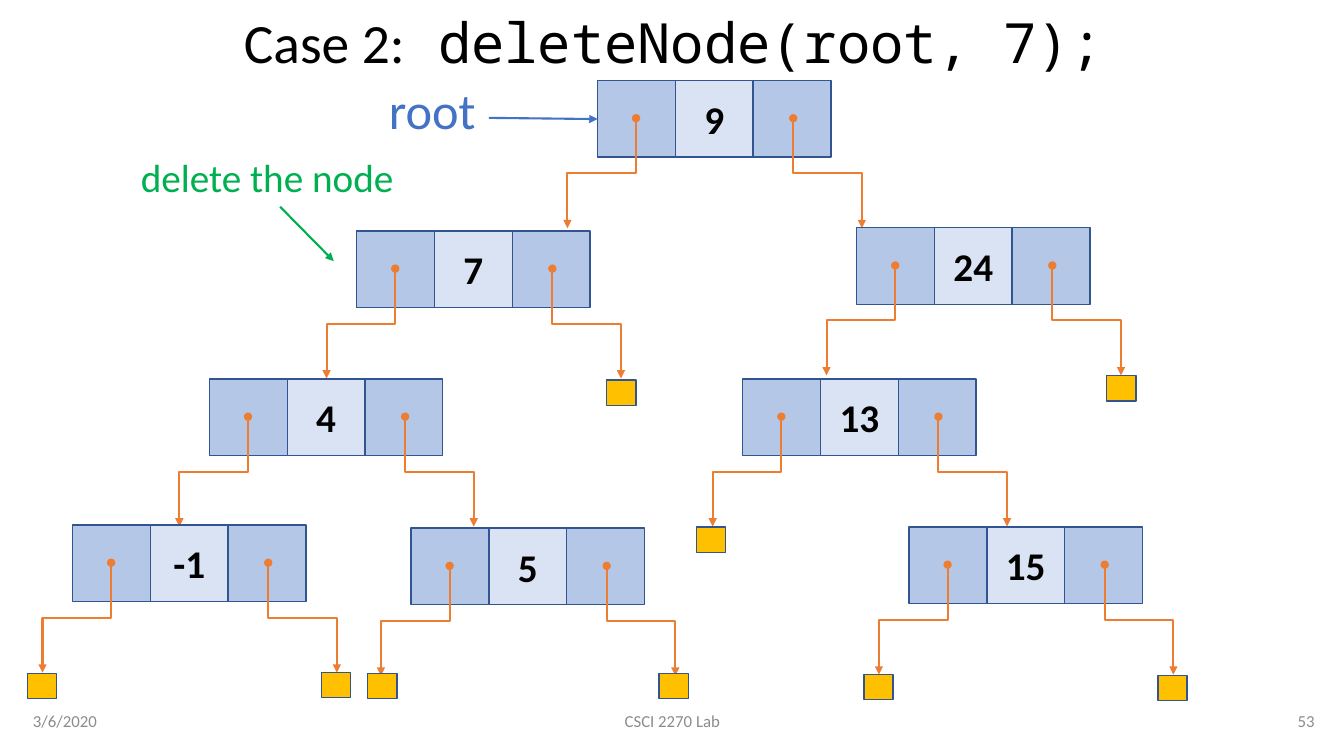
from dataclasses import dataclass

from lxml.etree import SubElement
from pptx import Presentation
from pptx.dml.color import RGBColor
from pptx.enum.shapes import MSO_CONNECTOR, MSO_SHAPE
from pptx.enum.text import MSO_ANCHOR, MSO_AUTO_SIZE, PP_ALIGN
from pptx.oxml.ns import qn
from pptx.util import Cm, Pt


@dataclass(frozen=True)
class Theme:
    sans: str = "Calibri"
    mono: str = "Noto Sans Mono"
    ink: str = "000000"
    muted: str = "8C8C8C"
    pointer_cell: str = "B4C7E7"
    key_cell: str = "DAE3F3"
    outline: str = "325491"
    pointer: str = "ED7D31"
    null: str = "FFC000"
    root: str = "4472C4"
    delete: str = "00B050"
    title_size: float = 39.6
    root_size: float = 36
    key_size: float = 28
    footer_size: float = 12
    outline_width: float = 1
    arrow_width: float = 1.5


CELL_WIDTH, CELL_HEIGHT = 1.96, 1.93
POINTER_RUN, POINTER_DROP = 1.73, 2.77
NULL_WIDTH, NULL_HEIGHT = 0.74, 0.64

NODES = [
    ("9", 15.06, 2.03),
    ("7", 8.99, 5.82),
    ("24", 21.59, 5.74),
    ("4", 5.28, 9.55),
    ("5", 10.36, 13.31),
    ("13", 18.72, 9.55),
    ("15", 22.91, 13.28),
    ("-1", 1.83, 13.23),
]
NULLS = [
    (27.89, 9.47), (21.77, 16.99), (15.29, 9.58),
    (17.55, 13.28), (16.61, 16.97), (0.69, 16.97),
    (8.1, 16.94), (29.18, 17.02), (9.27, 16.97),
]
FOOTERS = [
    ("3/6/2020", 0.58, 7.62, PP_ALIGN.LEFT),
    ("CSCI 2270 Lab", 11.23, 11.43, PP_ALIGN.CENTER),
    ("53", 25.76, 7.62, PP_ALIGN.RIGHT),
]


def assign(target, values):
    for name, value in values.items():
        setattr(target, name, value)


class TreeSlide:
    def __init__(self, slide, theme):
        self.slide = slide
        self.theme = theme

    def words(self, paragraph, text, size, color, font=None, bold=False):
        run = paragraph.add_run()
        run.text = text
        assign(run.font, {"name": font or self.theme.sans, "size": Pt(size), "bold": bold})
        run.font.color.rgb = RGBColor.from_string(color)

    def title(self, label, code):
        heading = self.slide.shapes.title
        assign(heading, {"left": Cm(0.58), "top": Cm(0.38),
                         "width": Cm(32.79), "height": Cm(1.52)})
        assign(heading.text_frame, {"auto_size": MSO_AUTO_SIZE.NONE, "word_wrap": True,
                                    "vertical_anchor": MSO_ANCHOR.MIDDLE})
        paragraph = heading.text_frame.paragraphs[0]
        assign(paragraph, {"alignment": PP_ALIGN.CENTER, "line_spacing": 0.9})
        self.words(paragraph, label, self.theme.title_size, self.theme.ink)
        self.words(paragraph, code, self.theme.title_size, self.theme.ink, self.theme.mono)

    def label(self, text, box, size, color, align=PP_ALIGN.LEFT, anchor=MSO_ANCHOR.TOP):
        frame = self.slide.shapes.add_textbox(*map(Cm, box)).text_frame
        assign(frame, {"word_wrap": True, "vertical_anchor": anchor})
        frame.paragraphs[0].alignment = align
        self.words(frame.paragraphs[0], text, size, color)

    def box(self, shapes, left, top, width, height, fill):
        rect = shapes.add_shape(MSO_SHAPE.RECTANGLE, Cm(left), Cm(top), Cm(width), Cm(height))
        rect.shadow.inherit = False
        rect.fill.solid()
        rect.fill.fore_color.rgb = RGBColor.from_string(fill)
        rect.line.color.rgb = RGBColor.from_string(self.theme.outline)
        rect.line.width = Pt(self.theme.outline_width)
        return rect

    def arrow(self, shapes, kind, start, end, color, ends):
        link = shapes.add_connector(kind, *map(Cm, (*start, *end)))
        link.line.color.rgb = RGBColor.from_string(color)
        link.line.width = Pt(self.theme.arrow_width)
        properties = link.element.spPr
        for tag, style in ends.items():
            SubElement(properties.find(qn("a:ln")), qn(tag)).set("type", style)
        SubElement(properties, qn("a:effectLst"))
        return link

    def straight_arrow(self, start, end, color):
        self.arrow(self.slide.shapes, MSO_CONNECTOR.STRAIGHT, start, end, color,
                   {"a:tailEnd": "triangle"})

    def child_pointer(self, shapes, x, y, side):
        center_x = x + side * POINTER_RUN / 2
        center_y = y + POINTER_DROP / 2
        start = (center_x + side * POINTER_DROP / 2, center_y - POINTER_RUN / 2)
        end = (center_x - side * POINTER_DROP / 2, center_y + POINTER_RUN / 2)
        link = self.arrow(shapes, MSO_CONNECTOR.ELBOW, start, end, self.theme.pointer,
                          {"a:headEnd": "oval", "a:tailEnd": "triangle"})
        turn = 90 if side < 0 else 270
        link.element.spPr.find(qn("a:xfrm")).set("rot", str(turn * 60000))

    def node(self, key, left, top):
        shapes = self.slide.shapes.add_group_shape().shapes
        fills = (self.theme.pointer_cell, self.theme.key_cell, self.theme.pointer_cell)
        cells = [self.box(shapes, left + i * CELL_WIDTH, top, CELL_WIDTH, CELL_HEIGHT, fill)
                 for i, fill in enumerate(fills)]
        frame = cells[1].text_frame
        frame.vertical_anchor = MSO_ANCHOR.MIDDLE
        frame.paragraphs[0].alignment = PP_ALIGN.CENTER
        self.words(frame.paragraphs[0], key, self.theme.key_size, self.theme.ink, bold=True)
        for offset, side in ((0.97, -1), (4.93, 1)):
            self.child_pointer(shapes, left + offset, top + 0.95, side)

    def null(self, left, top):
        self.box(self.slide.shapes, left, top, NULL_WIDTH, NULL_HEIGHT, self.theme.null)


def main():
    deck = Presentation()
    assign(deck, {"slide_width": Cm(33.87), "slide_height": Cm(19.05)})
    theme = Theme()
    tree = TreeSlide(deck.slides.add_slide(deck.slide_layouts[5]), theme)

    tree.title("Case 2:", " deleteNode(root, 7);")
    for text, left, width, align in FOOTERS:
        tree.label(text, (left, 17.65, width, 1.02), theme.footer_size, theme.muted,
                   align, MSO_ANCHOR.MIDDLE)
    for key, left, top in NODES:
        tree.node(key, left, top)
    tree.straight_arrow((12.32, 2.97), (15.06, 3), theme.root)
    tree.label("root", (9.55, 1.88, 3.12, 1.8), theme.root_size, theme.root)
    for left, top in NULLS:
        tree.null(left, top)
    tree.label("delete the node", (3.3, 3.73, 9.37, 1.45), theme.key_size, theme.delete)
    tree.straight_arrow((7.06, 5.21), (8.41, 6.58), theme.delete)

    deck.save("out.pptx")


if __name__ == "__main__":
    main()
